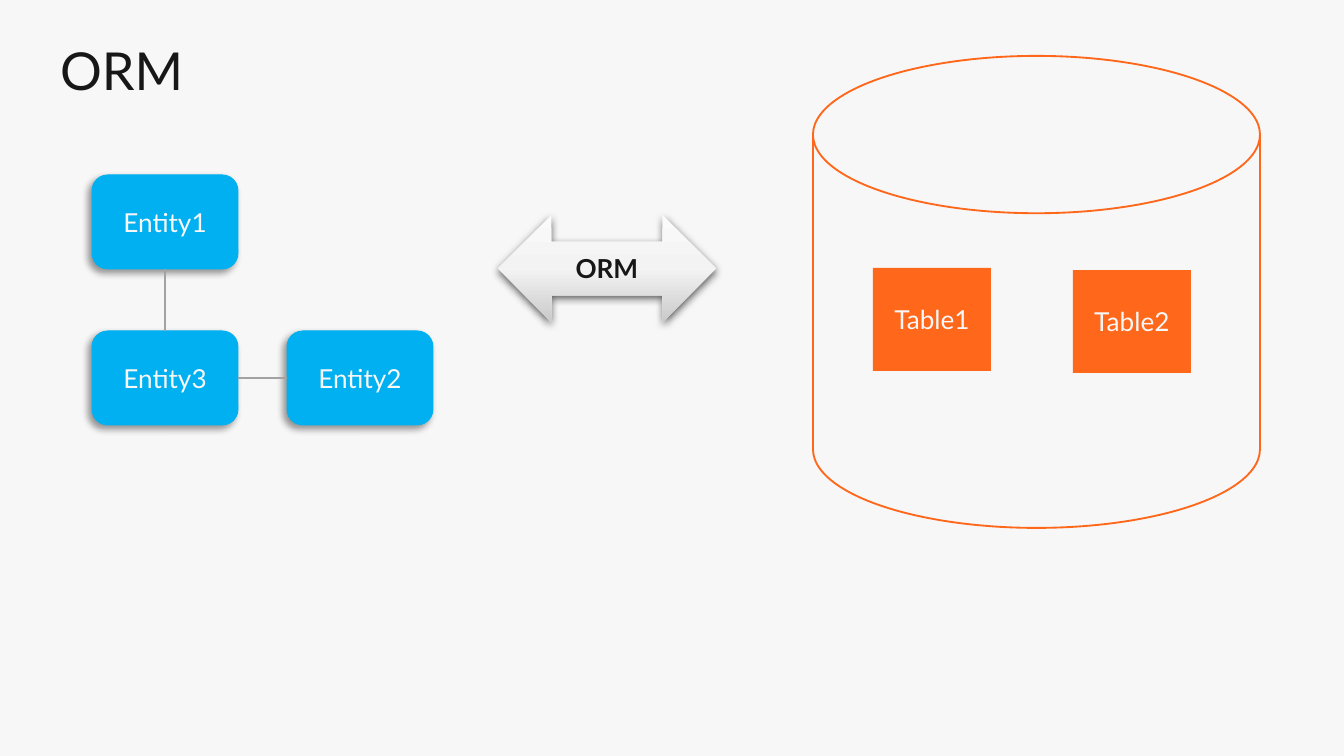
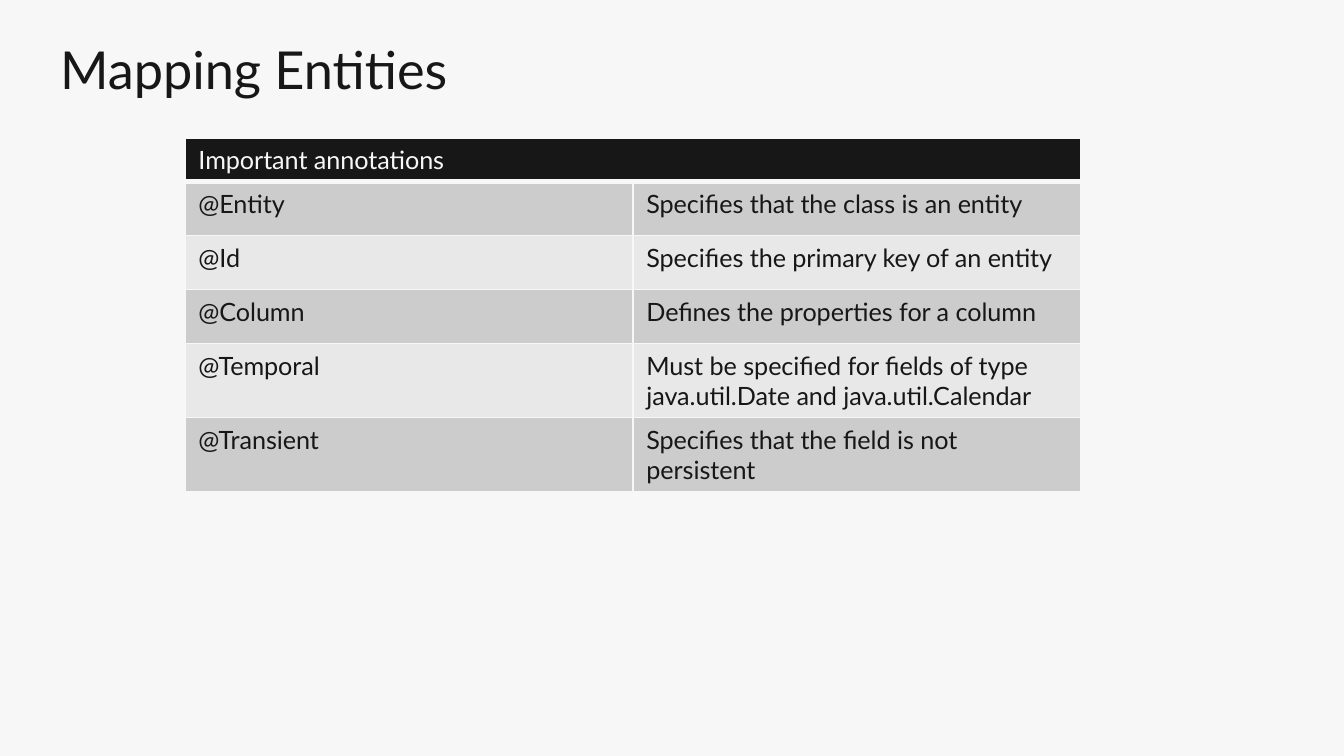
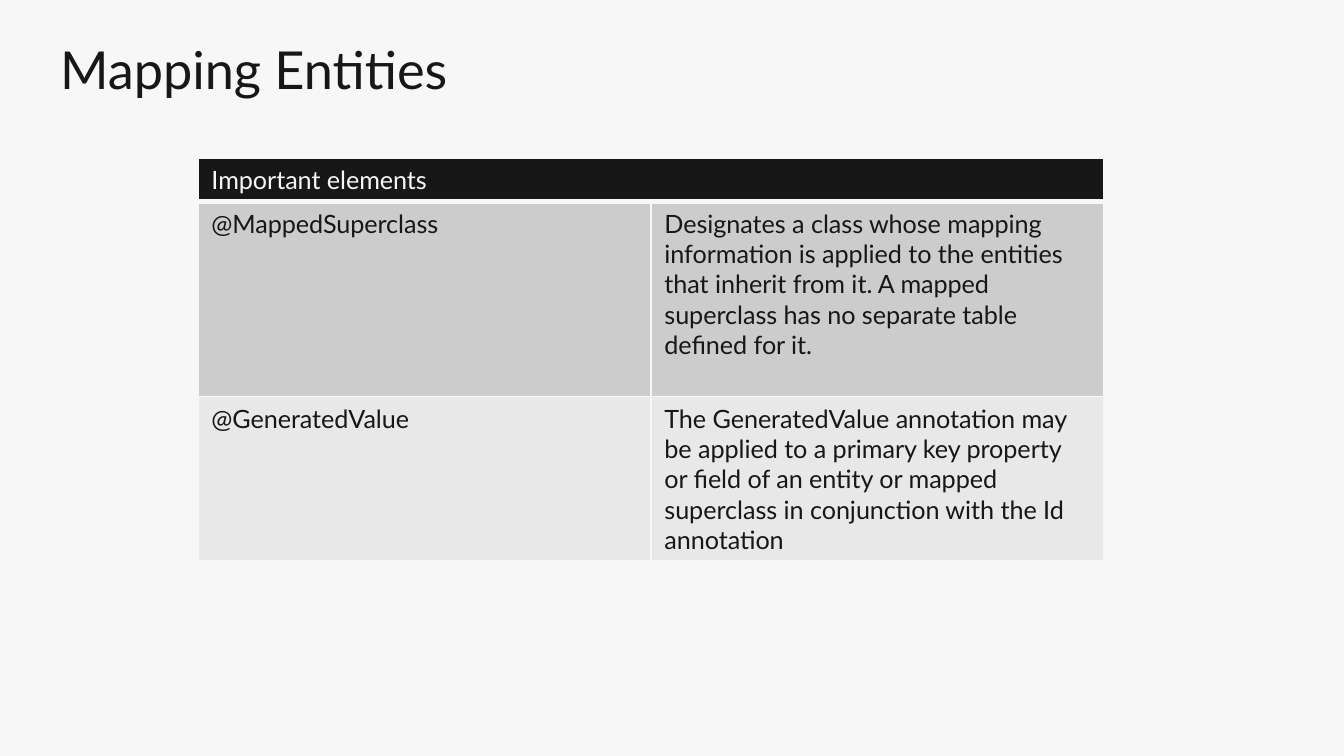
from dataclasses import dataclass

import lxml.etree
import pptx
import pptx.dml.color
import pptx.enum.shapes
import pptx.enum.text
import pptx.oxml.ns
import pptx.shapes.autoshape
import pptx.slide
import pptx.table
import pptx.text.text
import pptx.util

EMU_PER_PX = 914400 / 134.4
SLIDE_WIDTH, SLIDE_HEIGHT = 1344, 756

RGBColor = pptx.dml.color.RGBColor
PAPER = RGBColor(0xF7, 0xF7, 0xF7)
INK = RGBColor(0x17, 0x17, 0x17)
ORANGE = RGBColor(0xFF, 0x67, 0x1B)
BLUE = RGBColor(0x00, 0xB0, 0xF0)
CONNECTOR_GREY = RGBColor(0xA2, 0xA2, 0xA2)
BLACK = RGBColor(0x00, 0x00, 0x00)
ROW_FILLS = (RGBColor(0xCC, 0xCC, 0xCC), RGBColor(0xE8, 0xE8, 0xE8))
ARROW_GRADIENT = (
    (0, RGBColor(0xFA, 0xFA, 0xFA)),
    (50, RGBColor(0xF3, 0xF3, 0xF3)),
    (100, RGBColor(0xCA, 0xCA, 0xCA)),
)

FONT = "Lato"
TITLE_SIZE, SHAPE_SIZE, TABLE_SIZE = 28, 14, 13.5
TITLE_LEFT, TITLE_WIDTH, TITLE_BOTTOM = 47, 852, 107

MSO_SHAPE = pptx.enum.shapes.MSO_SHAPE
MSO_ANCHOR = pptx.enum.text.MSO_ANCHOR
TOP, LEFT, BOTTOM, RIGHT = range(4)


@dataclass(frozen=True)
class Box:
    left: int
    top: int
    width: int
    height: int

    def emu(self) -> tuple[pptx.util.Emu, ...]:
        return tuple(px(n) for n in (self.left, self.top, self.width, self.height))


@dataclass(frozen=True)
class Shadow:
    opacity: int
    blur: float
    distance: float
    angle: int


@dataclass(frozen=True)
class Row:
    annotation: str
    meaning: str
    height: int


@dataclass(frozen=True)
class AnnotationTable:
    heading: str
    left: int
    top: int
    column_width: int
    rows: tuple[Row, ...]


ENTITY_SHADOW = Shadow(opacity=40, blur=4, distance=3, angle=135)
ARROW_SHADOW = Shadow(opacity=63, blur=4.5, distance=1.5, angle=90)
HEADING_HEIGHT = 43

ENTITIES = {
    "Entity1": Box(92, 175, 146, 94),
    "Entity2": Box(287, 331, 146, 94),
    "Entity3": Box(92, 331, 146, 94),
}
ENTITY_LINKS = (("Entity1", BOTTOM, "Entity3", TOP), ("Entity2", LEFT, "Entity3", RIGHT))
DATABASE = Box(813, 56, 447, 472)
DATABASE_TABLES = {"Table1": Box(873, 268, 118, 103), "Table2": Box(1073, 270, 118, 103)}
ORM_ARROW = Box(498, 215, 218, 107)

ANNOTATION_TABLES = (
    AnnotationTable("Important annotations", 185, 138, 448, (
        Row("@Entity", "Specifies that the class is an entity", 54),
        Row("@Id", "Specifies the primary key of an entity", 54),
        Row("@Column", "Defines the properties for a column", 54),
        Row("@Temporal", "Must be specified for fields of type java.util.Date and "
            "java.util.Calendar", 74),
        Row("@Transient", "Specifies that the field is not persistent", 74),
    )),
    AnnotationTable("Important elements", 198, 158, 453, (
        Row("@MappedSuperclass", "Designates a class whose mapping information is applied "
            "to the entities that inherit from it. A mapped superclass has no separate "
            "table defined for it.", 195),
        Row("@GeneratedValue", "The GeneratedValue annotation may be applied to a primary "
            "key property or field of an entity or mapped superclass in conjunction with "
            "the Id annotation", 164),
    )),
)


def px(length: int) -> pptx.util.Emu:
    return pptx.util.Emu(round(length * EMU_PER_PX))


def add_element(parent: lxml.etree._Element, tag: str, **attributes: object) -> lxml.etree._Element:
    """Append a drawing element such as a:ln and return it."""
    values = {name: str(value) for name, value in attributes.items()}
    return lxml.etree.SubElement(parent, pptx.oxml.ns.qn(tag), values)


def add_color(parent: lxml.etree._Element, color: RGBColor) -> lxml.etree._Element:
    return add_element(parent, "a:srgbClr", val=color)


def add_run(paragraph: pptx.text.text._Paragraph, text: str, size: float,
            color: RGBColor, bold: bool = False) -> pptx.text.text._Run:
    run = paragraph.add_run()
    run.text = text
    run.font.name = FONT
    run.font.size = pptx.util.Pt(size)
    run.font.color.rgb = color
    run.font.bold = bold
    return run


def outline_run(run: pptx.text.text._Run, color: RGBColor) -> None:
    properties = run.font._element
    outline = lxml.etree.Element(pptx.oxml.ns.qn("a:ln"), w=str(pptx.util.Pt(0.75)))
    add_color(add_element(outline, "a:solidFill"), color)
    properties.insert(0, outline)


def add_slide(presentation: pptx.presentation.Presentation, title: str,
              title_height: int = 77, line_spacing: float = 1.0) -> pptx.slide.Slide:
    """Add a blank slide with the shared background and a bottom-aligned title."""
    slide = presentation.slides.add_slide(presentation.slide_layouts[6])
    slide.background.fill.solid()
    slide.background.fill.fore_color.rgb = PAPER
    box = Box(TITLE_LEFT, TITLE_BOTTOM - title_height, TITLE_WIDTH, title_height)
    frame = slide.shapes.add_textbox(*box.emu()).text_frame
    frame.word_wrap = True
    frame.vertical_anchor = MSO_ANCHOR.BOTTOM
    frame.paragraphs[0].line_spacing = line_spacing
    add_run(frame.paragraphs[0], title, TITLE_SIZE, INK)
    return slide


def add_shape(slide: pptx.slide.Slide, kind: MSO_SHAPE, box: Box, fill: RGBColor,
              line: RGBColor | None = None, line_width: float = 1) -> pptx.shapes.autoshape.Shape:
    shape = slide.shapes.add_shape(kind, *box.emu())
    shape.shadow.inherit = False
    shape.fill.solid()
    shape.fill.fore_color.rgb = fill
    if line is None:
        shape.line.fill.background()
    else:
        shape.line.color.rgb = line
        shape.line.width = pptx.util.Pt(line_width)
    return shape


def add_label(shape: pptx.shapes.autoshape.Shape, text: str, color: RGBColor,
              bold: bool = False) -> pptx.text.text._Run:
    frame = shape.text_frame
    frame.word_wrap = True
    frame.vertical_anchor = MSO_ANCHOR.MIDDLE
    frame.paragraphs[0].alignment = pptx.enum.text.PP_ALIGN.CENTER
    return add_run(frame.paragraphs[0], text, SHAPE_SIZE, color, bold)


def cast_shadow(shape: pptx.shapes.autoshape.Shape, shadow: Shadow) -> None:
    effects = shape.element.spPr.find(pptx.oxml.ns.qn("a:effectLst"))
    outer = add_element(effects, "a:outerShdw", blurRad=pptx.util.Pt(shadow.blur),
                        dist=pptx.util.Pt(shadow.distance), dir=shadow.angle * 60000,
                        rotWithShape=0)
    add_element(add_color(outer, BLACK), "a:alpha", val=shadow.opacity * 1000)


def fill_with_gradient(shape: pptx.shapes.autoshape.Shape,
                       stops: tuple[tuple[int, RGBColor], ...]) -> None:
    """Replace the solid fill by a gradient that runs from top to bottom."""
    gradient = lxml.etree.Element(pptx.oxml.ns.qn("a:gradFill"), rotWithShape="1")
    stop_list = add_element(gradient, "a:gsLst")
    for position, color in stops:
        add_color(add_element(stop_list, "a:gs", pos=position * 1000), color)
    add_element(gradient, "a:lin", ang=90 * 60000, scaled=0)
    properties = shape.element.spPr
    properties.replace(properties.find(pptx.oxml.ns.qn("a:solidFill")), gradient)


def add_link(slide: pptx.slide.Slide, start: pptx.shapes.autoshape.Shape, start_side: int,
             end: pptx.shapes.autoshape.Shape, end_side: int) -> None:
    connector = slide.shapes.add_connector(pptx.enum.shapes.MSO_CONNECTOR.CURVE, 0, 0, 0, 0)
    connector.begin_connect(start, start_side)
    connector.end_connect(end, end_side)
    connector.line.color.rgb = CONNECTOR_GREY
    connector.line.width = pptx.util.Pt(1.5)
    add_element(connector.element.spPr, "a:effectLst")


def fill_cell(cell: pptx.table._Cell, text: str, fill: RGBColor, color: RGBColor,
              bottom_border: float = 1) -> None:
    properties = cell._tc.get_or_add_tcPr()
    borders = {"a:lnL": 1, "a:lnR": 1, "a:lnT": 1, "a:lnB": bottom_border}
    for tag, width in borders.items():
        border = add_element(properties, tag, w=pptx.util.Pt(width))
        add_color(add_element(border, "a:solidFill"), PAPER)
    cell.fill.solid()
    cell.fill.fore_color.rgb = fill
    if text:
        add_run(cell.text_frame.paragraphs[0], text, TABLE_SIZE, color)


def add_annotation_table(slide: pptx.slide.Slide, content: AnnotationTable) -> None:
    heights = [HEADING_HEIGHT, *(row.height for row in content.rows)]
    box = Box(content.left, content.top, 2 * content.column_width, sum(heights))
    table = slide.shapes.add_table(len(heights), 2, *box.emu()).table
    table.first_row = table.horz_banding = False
    for column in table.columns:
        column.width = px(content.column_width)
    for table_row, height in zip(table.rows, heights):
        table_row.height = px(height)

    for column_index, text in enumerate((content.heading, "")):
        fill_cell(table.cell(0, column_index), text, INK, PAPER, bottom_border=3)
    table.cell(0, 0).merge(table.cell(0, 1))
    for row_index, row in enumerate(content.rows):
        fill = ROW_FILLS[row_index % len(ROW_FILLS)]
        for column_index, text in enumerate((row.annotation, row.meaning)):
            fill_cell(table.cell(row_index + 1, column_index), text, fill, INK)


def add_orm_slide(presentation: pptx.presentation.Presentation) -> None:
    slide = add_slide(presentation, "ORM", title_height=65, line_spacing=0.8)
    add_shape(slide, MSO_SHAPE.FLOWCHART_MAGNETIC_DISK, DATABASE, PAPER, ORANGE)

    entities = {}
    for name, box in ENTITIES.items():
        entity = add_shape(slide, MSO_SHAPE.ROUNDED_RECTANGLE, box, BLUE, BLUE, 0.5)
        cast_shadow(entity, ENTITY_SHADOW)
        outline_run(add_label(entity, name, PAPER), PAPER)
        entities[name] = entity
    for start, start_side, end, end_side in ENTITY_LINKS:
        add_link(slide, entities[start], start_side, entities[end], end_side)

    arrow = add_shape(slide, MSO_SHAPE.LEFT_RIGHT_ARROW, ORM_ARROW, PAPER)
    fill_with_gradient(arrow, ARROW_GRADIENT)
    cast_shadow(arrow, ARROW_SHADOW)
    add_label(arrow, "ORM", INK, bold=True)

    for name, box in DATABASE_TABLES.items():
        add_label(add_shape(slide, MSO_SHAPE.RECTANGLE, box, ORANGE), name, PAPER)


def main() -> None:
    presentation = pptx.Presentation()
    presentation.slide_width = px(SLIDE_WIDTH)
    presentation.slide_height = px(SLIDE_HEIGHT)
    add_orm_slide(presentation)
    for content in ANNOTATION_TABLES:
        add_annotation_table(add_slide(presentation, "Mapping Entities"), content)
    presentation.save("out.pptx")


if __name__ == "__main__":
    main()
